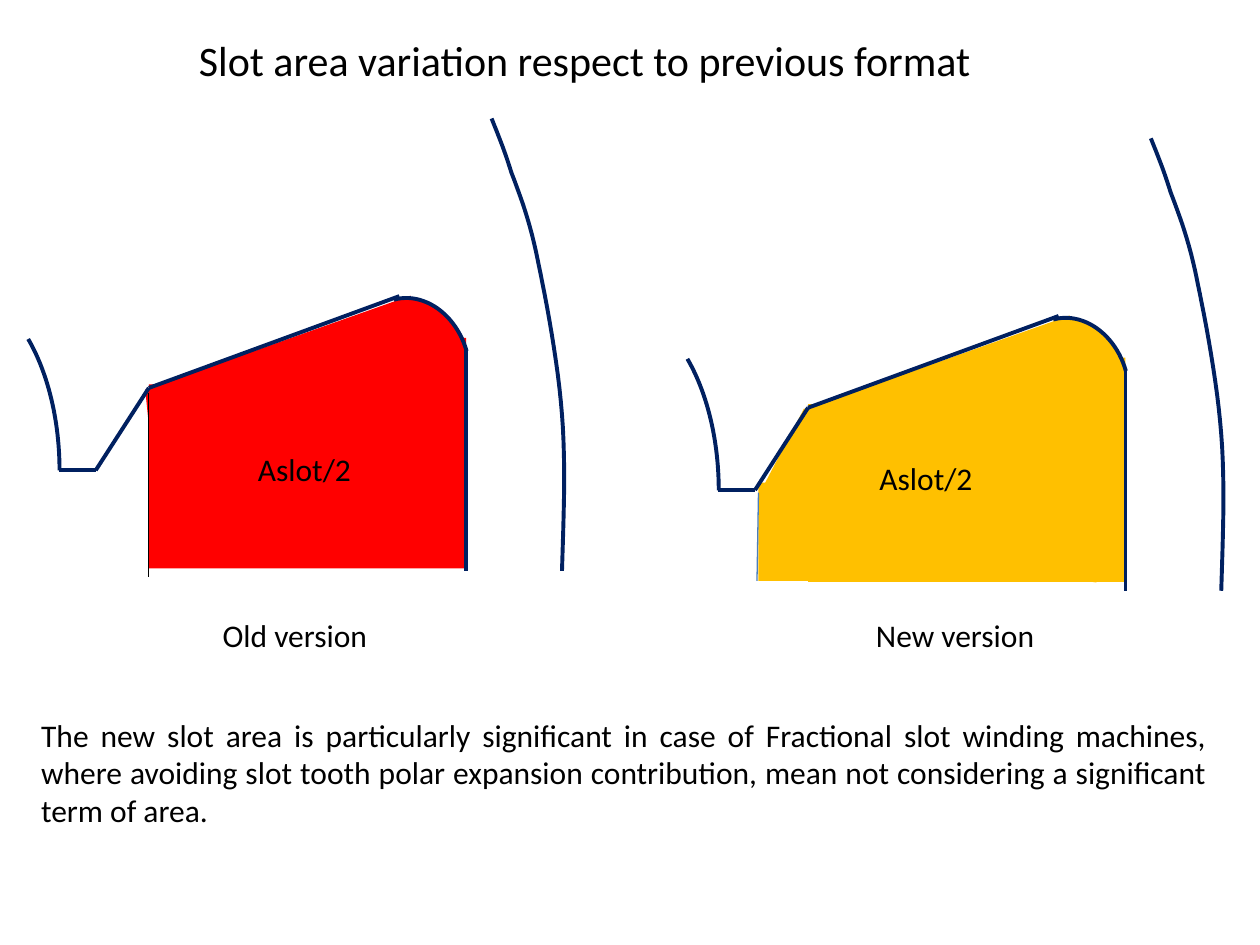
import pptx
import pptx.util
import pptx.dml.color
import pptx.enum.shapes
import pptx.enum.text
import pptx.oxml

Cm = pptx.util.Cm
Pt = pptx.util.Pt
RGB = pptx.dml.color.RGBColor
KIND = pptx.enum.shapes.MSO_SHAPE
ALIGN = pptx.enum.text.PP_ALIGN

NAVY = RGB(0x00, 0x20, 0x60)
RED = RGB(0xFF, 0x00, 0x00)
GOLD = RGB(0xFF, 0xC0, 0x00)
BLUE = RGB(0x4B, 0x7E, 0xBC)
BLACK = RGB(0x00, 0x00, 0x00)

TOOTH = [(0.63, 7.09), (1.37, 7.09), (2.44, 5.43), (7.49, 3.58)]
YOKE = [(10.77, 9.12),
        (10.8, 8.08), (10.85, 7.01), (10.77, 5.97),
        (10.69, 4.93), (10.46, 3.71), (10.29, 2.9),
        (10.13, 2.08), (9.93, 1.57), (9.75, 1.09),
        (9.6, 0.61), (9.47, 0.3), (9.35, 0)]


def style(shape, fill, line):
    shape.shadow.inherit = False
    if fill is None:
        shape.fill.background()
    else:
        shape.fill.solid()
        shape.fill.fore_color.rgb = fill
    if line is None:
        shape.line.fill.background()
    else:
        shape.line.color.rgb = line
        shape.line.width = Pt(2.25)


def block(root, kind, org, box, fill=None, line=None, turn=0):
    x, y, w, h = box
    shape = root.add_shape(kind, Cm(org[0] + x), Cm(org[1] + y), Cm(w), Cm(h))
    shape.rotation = turn
    style(shape, fill, line)
    return shape


def stroke(root, org, start, end, color=NAVY, width=2.25):
    line = root.add_connector(
        pptx.enum.shapes.MSO_CONNECTOR.STRAIGHT,
        Cm(org[0] + start[0]), Cm(org[1] + start[1]),
        Cm(org[0] + end[0]), Cm(org[1] + end[1]))
    line.line.color.rgb = color
    line.line.width = Pt(width)
    line._element.spPr.append(pptx.oxml.parse_xml(
        '<a:effectLst xmlns:a="http://schemas.openxmlformats.org/drawingml/2006/main"/>'))


def curve(root, org, knots, steps=12):
    dots = []
    for i in range(0, len(knots) - 1, 3):
        quad = knots[i:i + 4]
        for n in range(1, steps + 1):
            t = n / steps
            s = 1 - t
            mix = (s ** 3, 3 * s * s * t, 3 * s * t * t, t ** 3)
            dots.append(tuple(
                Cm(org[k] + sum(m * p[k] for m, p in zip(mix, quad)))
                for k in (0, 1)))
    first = knots[0]
    form = root.build_freeform(Cm(org[0] + first[0]), Cm(org[1] + first[1]))
    form.add_line_segments(dots, close=False)
    style(form.convert_to_shape(), None, NAVY)


def label(root, org, box, text, size=18, align=ALIGN.LEFT, wrap=True):
    x, y, w, h = box
    area = root.add_textbox(Cm(org[0] + x), Cm(org[1] + y), Cm(w), Cm(h))
    frame = area.text_frame
    frame.word_wrap = wrap
    para = frame.paragraphs[0]
    para.alignment = align
    run = para.add_run()
    run.text = text
    run.font.name = "Calibri"
    run.font.size = Pt(size)
    run.font.color.rgb = BLACK


def slot(root, org, fill, depth):
    group = root.add_group_shape().shapes
    block(group, KIND.RECTANGLE, org, (2.44, 5.36, 6.4, depth), fill)
    block(group, KIND.TRAPEZOID, org, (2.54, 3.78, 5.41, 5.51), fill, turn=264.3)
    block(group, KIND.RECTANGLE, org, (7.34, 4.42, 1.5, 2.03), fill)
    bore = block(group, KIND.ARC, org, (-3.53, 3.4, 4.17, 7.39), line=NAVY)
    bore.adjustments[0] = 179.248
    bore.adjustments[1] = 0
    for start, end in zip(TOOTH, TOOTH[1:]):
        stroke(group, org, start, end)
    block(group, KIND.ARC, org, (6.63, 3.6, 2.26, 2.79), fill, NAVY, 344.4)
    stroke(group, org, (8.84, 4.62), (8.84, 9.12))
    curve(group, org, YOKE)
    return group


def old(root, org):
    group = slot(root, org, RED, 3.71)
    stroke(group, org, (2.44, 5.54), (2.44, 9.25), BLACK, 0.75)
    label(root, org, (4.39, 6.55, 3.38, 1.02), "Aslot/2")
    label(root, org, (0.23, 9.9, 10.31, 1.02), "Old version", align=ALIGN.CENTER)


def new(root, org):
    block(root, KIND.TRAPEZOID, org, (1.72, 5.49, 1.19, 1.98), GOLD, turn=19.1)
    block(root, KIND.RECTANGLE, org, (1.44, 6.94, 1.4, 1.98), GOLD)
    slot(root, org, GOLD, 3.58)
    stroke(root, org, (1.44, 7.14), (1.41, 8.92), BLUE, 0.75)
    label(root, org, (3.63, 6.33, 3.38, 1.02), "Aslot/2")
    label(root, org, (0.25, 9.5, 10.31, 1.02), "New version", align=ALIGN.CENTER)


def main():
    deck = pptx.Presentation()
    deck.slide_width = Cm(25.4)
    deck.slide_height = Cm(19.05)
    root = deck.slides.add_slide(deck.slide_layouts[6]).shapes
    label(root, (0, 0), (3.76, 0.58, 16.51, 1.27),
          "Slot area variation respect to previous format", 24, wrap=False)
    old(root, (0.56, 2.39))
    new(root, (13.85, 2.79))
    label(root, (0, 0), (0.58, 14.3, 24, 2.57),
          "The new slot area is particularly significant in case of Fractional "
          "slot winding machines, where avoiding slot tooth polar expansion "
          "contribution, mean not considering a significant term of area.",
          align=ALIGN.JUSTIFY)
    deck.save("out.pptx")


main()
